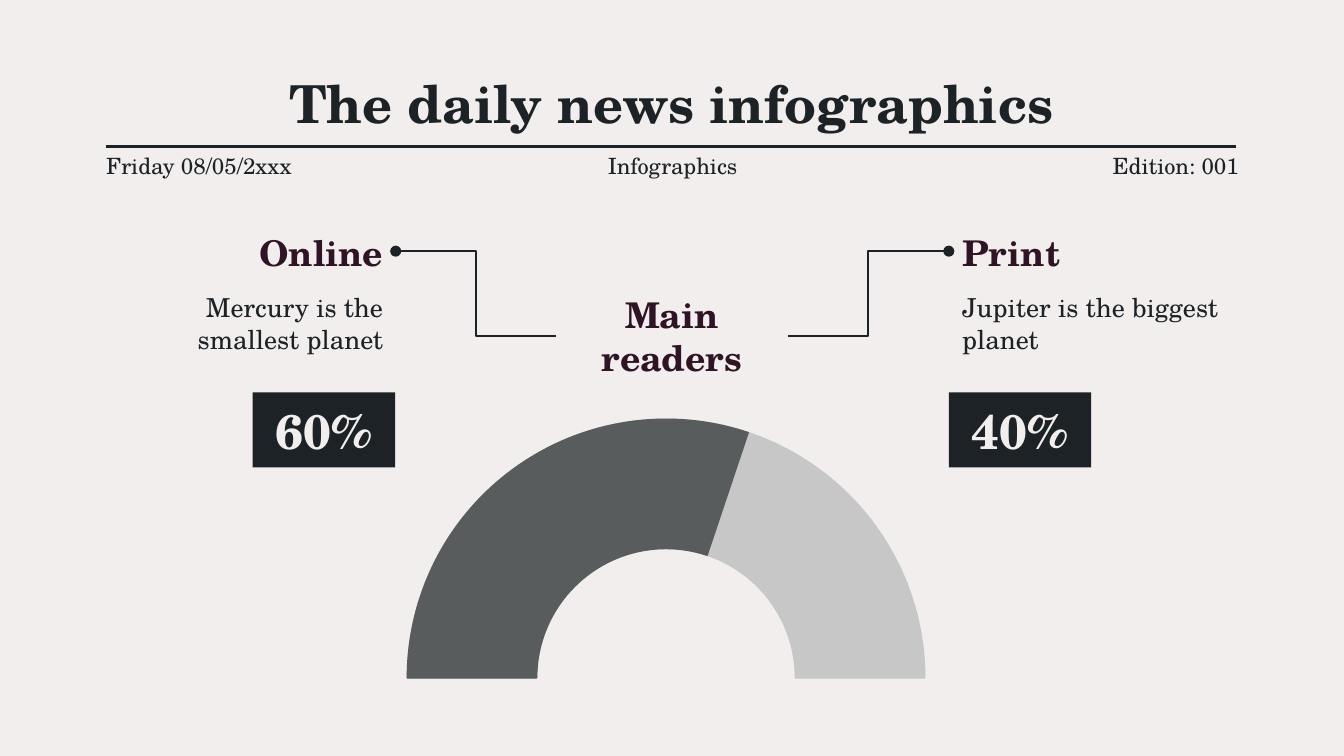
from lxml.etree import SubElement
from pptx import Presentation
from pptx.dml.color import RGBColor
from pptx.enum.shapes import MSO_CONNECTOR, MSO_SHAPE
from pptx.enum.text import MSO_ANCHOR, PP_ALIGN
from pptx.oxml.ns import qn
from pptx.util import Pt

TITLE = "The daily news infographics"
CENTRE_LABEL = "Main readers"
MASTHEAD = [
    ("Friday 08/05/2xxx", PP_ALIGN.LEFT, 0),
    ("Infographics", PP_ALIGN.CENTER, 7.2),
    ("Edition: 001", PP_ALIGN.RIGHT, 0),
]
READERS = [
    {"name": "Online", "detail": "Mercury is the smallest planet", "share": "60%",
     "align": PP_ALIGN.RIGHT, "left": 57.6, "badge": 135.4, "start": 298.1, "end": 212},
    {"name": "Print", "detail": "Jupiter is the biggest planet", "share": "40%",
     "align": PP_ALIGN.LEFT, "left": 508.3, "badge": 508.3, "start": 421.9, "end": 508.3},
]
ARCS = [("light", (108, 0, 0.25)), ("grey", (108, 173.11, 0.25))]
COLOURS = {"paper": "F1EEED", "ink": "1C2226", "plum": "2F1425",
           "light": "C7C7C7", "grey": "595C5C"}
FONT = "TeX Gyre Schola"


def colour(name):
    return RGBColor.from_string(COLOURS[name])


def write(shape, text, size=14, ink="ink", bold=False, align=PP_ALIGN.CENTER, inset=7.2):
    """Put one formatted paragraph in a shape."""
    frame = shape.text_frame
    frame.word_wrap = True
    frame.vertical_anchor = MSO_ANCHOR.MIDDLE
    frame.margin_left = frame.margin_right = Pt(inset)
    frame.margin_top = frame.margin_bottom = Pt(7.2 if inset else 0)
    para = frame.paragraphs[0]
    para.alignment = align
    span = para.add_run()
    span.text = text
    span.font.name = FONT
    span.font.size = Pt(size)
    span.font.bold = bold
    span.font.color.rgb = colour(ink)


def add_text(page, bounds, text, **style):
    write(page.shapes.add_textbox(*map(Pt, bounds)), text, **style)


def add_block(page, kind, bounds, fill, outlined=False):
    block = page.shapes.add_shape(kind, *map(Pt, bounds))
    block.shadow.inherit = False
    block.fill.solid()
    block.fill.fore_color.rgb = colour(fill)
    if outlined:
        block.line.color.rgb = colour(fill)
        block.line.width = Pt(0.75)
    else:
        block.line.fill.background()
    return block


def add_rule(page, kind, ends, width, dot=False):
    rule = page.shapes.add_connector(kind, *map(Pt, ends))
    rule.line.color.rgb = colour("ink")
    rule.line.width = Pt(width)
    properties = rule._element.spPr
    if dot:
        SubElement(properties.find(qn("a:ln")), qn("a:tailEnd"), type="oval")
    SubElement(properties, qn("a:effectLst"))


def main():
    deck = Presentation()
    deck.slide_width, deck.slide_height = Pt(720), Pt(405)
    page = deck.slides.add_slide(deck.slide_layouts[0])
    page.background.fill.solid()
    page.background.fill.fore_color.rgb = colour("paper")

    add_rule(page, MSO_CONNECTOR.STRAIGHT, (56.9, 78.5, 662.4, 78.5), 1.5)
    title = page.shapes.title
    title.left, title.top, title.width, title.height = map(Pt, (57.6, 38.2, 604.1, 33.1))
    write(title, TITLE, size=28, bold=True)
    subtitle = page.placeholders[1]._element
    subtitle.getparent().remove(subtitle)

    for column, (text, align, inset) in enumerate(MASTHEAD):
        add_text(page, (56.9 + 242.6 * column, 82.1, 121.7, 13.7), text,
                 size=12, align=align, inset=inset)

    for fill, angles in ARCS:
        arc = add_block(page, MSO_SHAPE.BLOCK_ARC, (218.2, 224.6, 277.2, 277.2), fill, outlined=True)
        for index, value in enumerate(angles):
            arc.adjustments[index] = value

    add_text(page, (298.1, 154.8, 123.8, 50.4), CENTRE_LABEL, size=19, ink="plum", bold=True)
    for reader in READERS:
        left, align = reader["left"], reader["align"]
        add_text(page, (left, 120.2, 154.8, 29.5), reader["name"],
                 size=19, ink="plum", bold=True, align=align)
        add_text(page, (left, 154.8, 154.8, 36.7), reader["detail"], align=align)
        badge = add_block(page, MSO_SHAPE.RECTANGLE, (reader["badge"], 210.2, 76.3, 40.3), "ink")
        write(badge, reader["share"], size=26, ink="paper", bold=True)
        add_rule(page, MSO_CONNECTOR.ELBOW, (reader["start"], 180, reader["end"], 134.6), 0.75, dot=True)

    deck.save("out.pptx")


if __name__ == "__main__":
    main()
